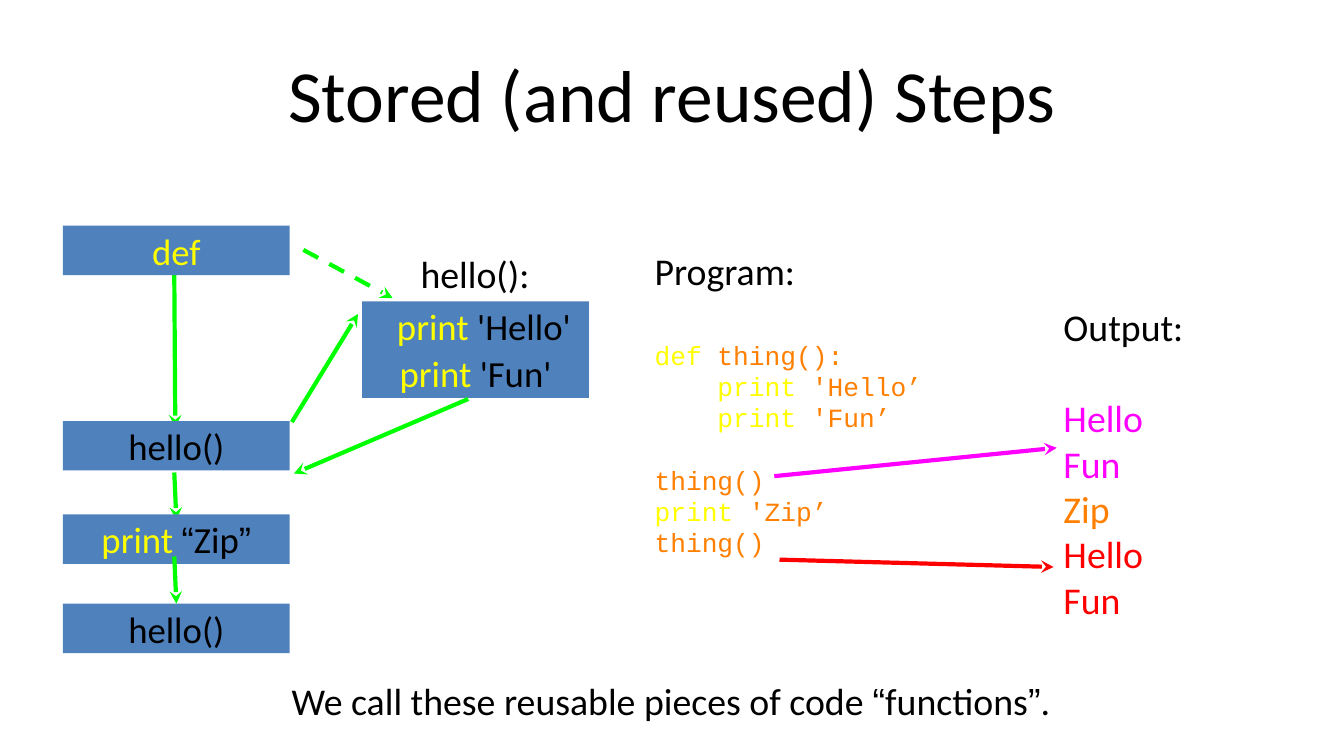
import dataclasses

import pptx
import pptx.dml.color
import pptx.enum.dml
import pptx.enum.shapes
import pptx.enum.text
import pptx.oxml
import pptx.oxml.ns
import pptx.util

Pt = pptx.util.Pt
CENTER = pptx.enum.text.PP_ALIGN.CENTER
LEFT = pptx.enum.text.PP_ALIGN.LEFT


@dataclasses.dataclass(frozen=True)
class Theme:
    ink: str = "000000"
    keyword: str = "FFFF00"
    code: str = "FF7F00"
    first_call: str = "FF00FF"
    second_call: str = "FF0000"
    flow: str = "00FF00"
    step: str = "4F81BD"
    body_font: str = "Calibri"
    quote_font: str = "Arial"
    code_font: str = "Courier New"
    title_size: float = 70
    body_size: float = 36
    step_size: float = 35
    code_size: float = 25
    code_line: float = 29.8
    section_gap: float = 44
    line_width: float = 4


THEME = Theme()


@dataclasses.dataclass(frozen=True)
class Box:
    left: float
    top: float
    width: float
    height: float

    def inner(self, left, top, width, height):
        return Box(self.left + left, self.top + top, width, height)

    def lengths(self):
        return [Pt(value) for value in dataclasses.astuple(self)]


def rgb(colour):
    return pptx.dml.color.RGBColor.from_string(colour)


def add_runs(paragraph, runs, size, font=THEME.body_font):
    """Each run is (text, colour) or (text, colour, font)."""
    for text, colour, *own_font in runs:
        run = paragraph.add_run()
        run.text = text
        run.font.size = Pt(size)
        run.font.name = own_font[0] if own_font else font
        run.font.color.rgb = rgb(colour)


def prepare_frame(shape, wrap=True):
    frame = shape.text_frame
    frame.word_wrap = wrap
    frame.auto_size = pptx.enum.text.MSO_AUTO_SIZE.NONE
    frame.vertical_anchor = pptx.enum.text.MSO_ANCHOR.MIDDLE
    frame.margin_left = frame.margin_right = 0
    frame.margin_top = frame.margin_bottom = 0
    return frame


def add_text(slide, box, runs, align=LEFT, wrap=False):
    frame = prepare_frame(slide.shapes.add_textbox(*box.lengths()), wrap)
    frame.paragraphs[0].alignment = align
    add_runs(frame.paragraphs[0], runs, THEME.body_size)
    return frame


def add_step(slide, box, runs, indent=0):
    shape = slide.shapes.add_shape(
        pptx.enum.shapes.MSO_SHAPE.RECTANGLE, *box.lengths())
    shape.shadow.inherit = False
    shape.fill.solid()
    shape.fill.fore_color.rgb = rgb(THEME.step)
    shape.line.fill.background()
    frame = prepare_frame(shape)
    frame.margin_left = Pt(indent)
    frame.paragraphs[0].alignment = CENTER
    add_runs(frame.paragraphs[0], runs, THEME.step_size)


def add_arrow(slide, box, start, end, colour=THEME.flow, dashed=False):
    points = [Pt(value) for x, y in (start, end)
              for value in (box.left + x, box.top + y)]
    arrow = slide.shapes.add_connector(
        pptx.enum.shapes.MSO_CONNECTOR.STRAIGHT, *points)
    arrow.line.color.rgb = rgb(colour)
    arrow.line.width = Pt(THEME.line_width)
    if dashed:
        arrow.line.dash_style = pptx.enum.dml.MSO_LINE.DASH
    namespace = pptx.oxml.ns.nsdecls("a")
    arrow.line._get_or_add_ln().append(
        pptx.oxml.parse_xml(f'<a:tailEnd {namespace} type="stealth"/>'))
    arrow._element.spPr.append(
        pptx.oxml.parse_xml(f"<a:effectLst {namespace}/>"))


def add_title(slide, box):
    title = slide.shapes.title
    title.left, title.top, title.width, title.height = box.lengths()
    paragraph = prepare_frame(title).paragraphs[0]
    paragraph.alignment = CENTER
    add_runs(paragraph, [("Stored (and reused) Steps", THEME.ink)],
             THEME.title_size)


def add_flow(slide, box):
    step_width, step_height = 216, 47

    # Arrows that run under the steps
    add_arrow(slide, box, (106, 46), (107, 192))
    add_arrow(slide, box, (106, 235), (108, 280))

    # Main sequence
    call = [("hello()", THEME.ink)]
    show_zip = [("print ", THEME.keyword), ("“", THEME.ink, THEME.quote_font),
                ("Zip", THEME.ink), ("”", THEME.ink, THEME.quote_font)]
    sequence = [(0, [("def", THEME.keyword)]), (186, call),
                (275, show_zip), (360, call)]
    for top, runs in sequence:
        add_step(slide, box.inner(0, top, step_width, step_height), runs)

    # Stored function
    add_text(slide, box.inner(335, 24, 115, 43),
             [("hello():", THEME.ink)], CENTER)
    for top, word, indent in ((72, "Hello", 16), (117, "Fun", 0)):
        runs = [("print", THEME.keyword), (f" '{word}'", THEME.ink)]
        add_step(slide, box.inner(285, top, step_width, step_height),
                 runs, indent)

    # Arrows over the steps: next step, call, return, definition
    add_arrow(slide, box, (106, 315), (108, 360))
    add_arrow(slide, box, (218, 187), (281, 84))
    add_arrow(slide, box, (386, 165), (220, 236))
    add_arrow(slide, box, (229, 23), (314, 69), dashed=True)


def add_program(slide, box):
    frame = add_text(slide, box, [("Program:", THEME.ink)])
    # Space before, indentation, keyword, remainder of the line
    lines = [
        (THEME.section_gap, "", "def", " thing():"),
        (0, "    ", "print", " 'Hello’"),
        (0, "    ", "print", " 'Fun’"),
        (THEME.code_line, "", "", "thing()"),
        (0, "", "print", " 'Zip’"),
        (0, "", "", "thing()"),
    ]
    for gap, indentation, keyword, rest in lines:
        paragraph = frame.add_paragraph()
        paragraph.space_before = Pt(gap)
        paragraph.line_spacing = Pt(THEME.code_line)
        pieces = [(indentation, THEME.code), (keyword, THEME.keyword),
                  (rest, THEME.code)]
        add_runs(paragraph, [piece for piece in pieces if piece[0]],
                 THEME.code_size, THEME.code_font)

    # Calls that lead to the output
    add_arrow(slide, box, (114, 218), (383, 191), THEME.first_call)
    add_arrow(slide, box, (119, 297.5), (380, 304.5), THEME.second_call)


def add_output(slide, box):
    frame = add_text(slide, box, [("Output:", THEME.ink)], wrap=True)
    lines = [("Hello", THEME.first_call), ("Fun", THEME.first_call),
             ("Zip", THEME.code),
             ("Hello", THEME.second_call), ("Fun", THEME.second_call)]
    for index, line in enumerate(lines):
        paragraph = frame.add_paragraph()
        paragraph.space_before = Pt(0 if index else THEME.section_gap)
        add_runs(paragraph, [line], THEME.body_size)


def add_caption(slide, box):
    add_text(slide, box, [
        ("We call these reusable pieces of code ", THEME.ink),
        ("“", THEME.ink, THEME.quote_font), ("functions", THEME.ink),
        ("”", THEME.ink, THEME.quote_font), (".", THEME.ink)], CENTER)


def main():
    presentation = pptx.Presentation()
    presentation.slide_width = Pt(1280.16)
    presentation.slide_height = Pt(720)
    slide = presentation.slides.add_slide(presentation.slide_layouts[5])
    add_title(slide, Box(64, 29, 1152, 120))
    add_output(slide, Box(1013, 293, 249, 295))
    add_program(slide, Box(623.5, 235.5, 255, 296.5))
    add_flow(slide, Box(60, 215, 501, 407))
    add_caption(slide, Box(224.5, 646, 829, 43))
    presentation.save("out.pptx")


if __name__ == "__main__":
    main()
